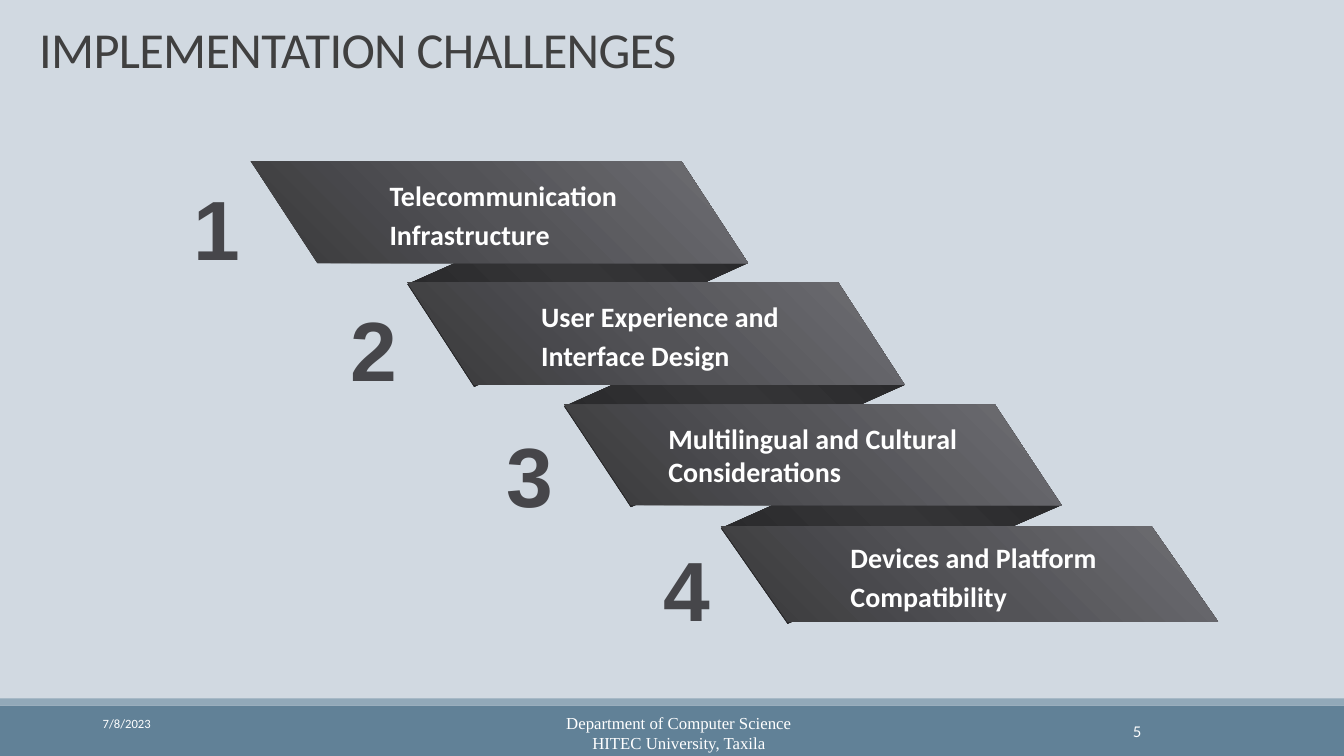
import copy
from dataclasses import dataclass

import pptx
import pptx.dml.color
import pptx.enum.shapes
import pptx.enum.text
import pptx.util

Cm = pptx.util.Cm
Pt = pptx.util.Pt
RGBColor = pptx.dml.color.RGBColor
ALIGN = pptx.enum.text.PP_ALIGN
ANCHOR = pptx.enum.text.MSO_ANCHOR
AUTO_SIZE = pptx.enum.text.MSO_AUTO_SIZE

BACKGROUND = RGBColor(0xD1, 0xD9, 0xE1)
FOOTER_BAND = RGBColor(0x61, 0x81, 0x97)
FOOTER_EDGE = RGBColor(0x92, 0xA9, 0xB9)
TITLE_GREY = RGBColor(0x40, 0x40, 0x40)
NUMBER_GREY = RGBColor(0x46, 0x46, 0x4A)
WHITE = RGBColor(0xFF, 0xFF, 0xFF)
FOLD_DARK = RGBColor(0x23, 0x23, 0x25)
FOLD_MID = RGBColor(0x35, 0x35, 0x37)
BANNER_DARK = RGBColor(0x38, 0x38, 0x3A)
BANNER_MID = RGBColor(0x53, 0x53, 0x57)
BANNER_LIGHT = RGBColor(0x6F, 0x6F, 0x74)

FOLD_GRADIENT = (FOLD_DARK, FOLD_MID, FOLD_DARK)
BANNER_GRADIENT = (BANNER_DARK, BANNER_MID, BANNER_LIGHT)

# Banner geometry in centimetres
FIRST_LEFT, STEP = 6.32, 3.95
TOP_EDGE, SLANT = 10.85, 1.68
FOLD_DROP = 0.05
NUMBER_GAP = 1.71


@dataclass
class Challenge:
    text: str
    top: float
    height: float
    number_top: float
    line_spacing: float = 1.15
    indent: float = 0.2

    @property
    def bottom(self) -> float:
        return self.top + self.height


@dataclass
class Label:
    lines: tuple
    box: tuple
    font: dict
    align: int = ALIGN.LEFT
    frame: dict | None = None
    line_spacing: float = 1.0
    tracking: int = 0


CHALLENGES = [
    Challenge("Telecommunication Infrastructure", 4.06, 2.57, 4.32),
    Challenge("User Experience and Interface Design", 7.11, 2.59, 7.37),
    Challenge("Multilingual and Cultural Considerations", 10.19, 2.54, 10.54, 1.0, 0),
    Challenge("Devices and Platform Compatibility", 13.26, 2.41, 13.41),
]


def set_all(target, values: dict) -> None:
    for name, value in values.items():
        setattr(target, name, value)


def set_font(font, values: dict) -> None:
    set_all(font, {key: value for key, value in values.items() if key != "color"})
    font.color.rgb = values["color"]


def add_band(slide, top: float, height: float, color: RGBColor) -> None:
    band = slide.shapes.add_shape(
        pptx.enum.shapes.MSO_SHAPE.RECTANGLE, 0, Cm(top), Cm(33.87), Cm(height))
    band.shadow.inherit = False
    band.fill.solid()
    band.fill.fore_color.rgb = color
    band.line.fill.background()


def add_label(slide, label: Label) -> None:
    frame = slide.shapes.add_textbox(*(Cm(side) for side in label.box)).text_frame
    set_all(frame, {"word_wrap": True, **(label.frame or {})})
    for index, line in enumerate(label.lines):
        paragraph = frame.add_paragraph() if index else frame.paragraphs[0]
        set_all(paragraph, {"alignment": label.align, "line_spacing": label.line_spacing})
        run = paragraph.add_run()
        run.text = line
        set_font(run.font, label.font)
        if label.tracking:
            run.font._element.set("spc", str(label.tracking))


def add_ribbon(slide, points: list, gradient: tuple):
    corners = [(Cm(x), Cm(y)) for x, y in points]
    builder = slide.shapes.build_freeform(*corners[0], scale=1.0)
    builder.add_line_segments(corners[1:], close=True)
    ribbon = builder.convert_to_shape()
    ribbon.shadow.inherit = False
    ribbon.line.fill.background()
    ribbon.fill.gradient()
    ribbon.fill.gradient_angle = 45
    # A third stop sits between the two default ones
    first_stop = ribbon.fill.gradient_stops[0]._gs
    first_stop.addnext(copy.deepcopy(first_stop))
    for stop, color, position in zip(ribbon.fill.gradient_stops, gradient, (0, 0.5, 1)):
        stop.color.rgb = color
        stop.position = position
    return ribbon


def banner_left(index: int) -> float:
    return FIRST_LEFT + index * STEP


def add_fold(slide, index: int, upper: Challenge, lower: Challenge) -> None:
    left, next_left = banner_left(index), banner_left(index + 1)
    add_ribbon(slide, [
        (left + TOP_EDGE, upper.top + FOLD_DROP),
        (left + TOP_EDGE + SLANT, upper.bottom),
        (next_left + SLANT, lower.bottom + FOLD_DROP),
        (next_left, lower.top + FOLD_DROP),
    ], FOLD_GRADIENT)


def add_banner(slide, index: int, challenge: Challenge) -> None:
    left = banner_left(index)
    banner = add_ribbon(slide, [
        (left, challenge.top),
        (left + TOP_EDGE, challenge.top),
        (left + TOP_EDGE + SLANT, challenge.bottom),
        (left + SLANT, challenge.bottom),
    ], BANNER_GRADIENT)
    frame = banner.text_frame
    set_all(frame, {
        "word_wrap": True, "vertical_anchor": ANCHOR.MIDDLE,
        "margin_left": Cm(2.54), "margin_right": Cm(2.54),
        "margin_top": Cm(0.25), "margin_bottom": Cm(0.25),
    })
    # Centre the left-aligned text block as a whole
    frame._txBody.bodyPr.set("anchorCtr", "1")
    paragraph = frame.paragraphs[0]
    set_all(paragraph, {"alignment": ALIGN.LEFT, "line_spacing": challenge.line_spacing})
    paragraph._p.get_or_add_pPr().set("marL", str(Cm(challenge.indent)))
    run = paragraph.add_run()
    run.text = challenge.text
    set_font(run.font, {"name": "Calibri", "size": Pt(20), "bold": True, "color": WHITE})


def main() -> None:
    deck = pptx.Presentation()
    deck.slide_width, deck.slide_height = Cm(33.87), Cm(19.05)
    slide = deck.slides.add_slide(deck.slide_layouts[6])
    slide.background.fill.solid()
    slide.background.fill.fore_color.rgb = BACKGROUND

    # Footer bands
    add_band(slide, 17.78, 1.27, FOOTER_BAND)
    add_band(slide, 17.6, 0.18, FOOTER_EDGE)

    # Title
    add_label(slide, Label(
        ("IMPLEMENTATION CHALLENGES",), (0.74, 0.56, 23.67, 2.64),
        {"name": "Calibri", "size": Pt(36), "color": TITLE_GREY},
        line_spacing=0.85, tracking=-50))

    # Folded ribbon: folds lie behind the banners
    for index, (upper, lower) in enumerate(zip(CHALLENGES, CHALLENGES[1:])):
        add_fold(slide, index, upper, lower)
    for index, challenge in enumerate(CHALLENGES):
        add_banner(slide, index, challenge)
        add_label(slide, Label(
            (str(index + 1),),
            (banner_left(index) - NUMBER_GAP, challenge.number_top, 1.7, 2.82),
            {"name": "Arial", "size": Pt(60), "bold": True, "color": NUMBER_GREY},
            ALIGN.CENTER, {"word_wrap": False, "auto_size": AUTO_SIZE.SHAPE_TO_FIT_TEXT}))

    # Footer texts
    middle = {"vertical_anchor": ANCHOR.MIDDLE}
    for footer in (
        Label(("7/8/2023",), (2.34, 17.73, 2.54, 1.02),
              {"name": "Calibri", "size": Pt(9), "color": WHITE}, ALIGN.LEFT, middle),
        Label(("Department of Computer Science", "HITEC University, Taxila"),
              (11, 17.91, 12.22, 1.12),
              {"name": "Times New Roman", "size": Pt(12), "color": WHITE}, ALIGN.CENTER, middle),
        Label(("5",), (27.51, 17.93, 2.29, 1.02),
              {"name": "Lato", "size": Pt(10.5), "color": WHITE}, ALIGN.CENTER, middle),
    ):
        add_label(slide, footer)

    deck.save("out.pptx")


if __name__ == "__main__":
    main()
